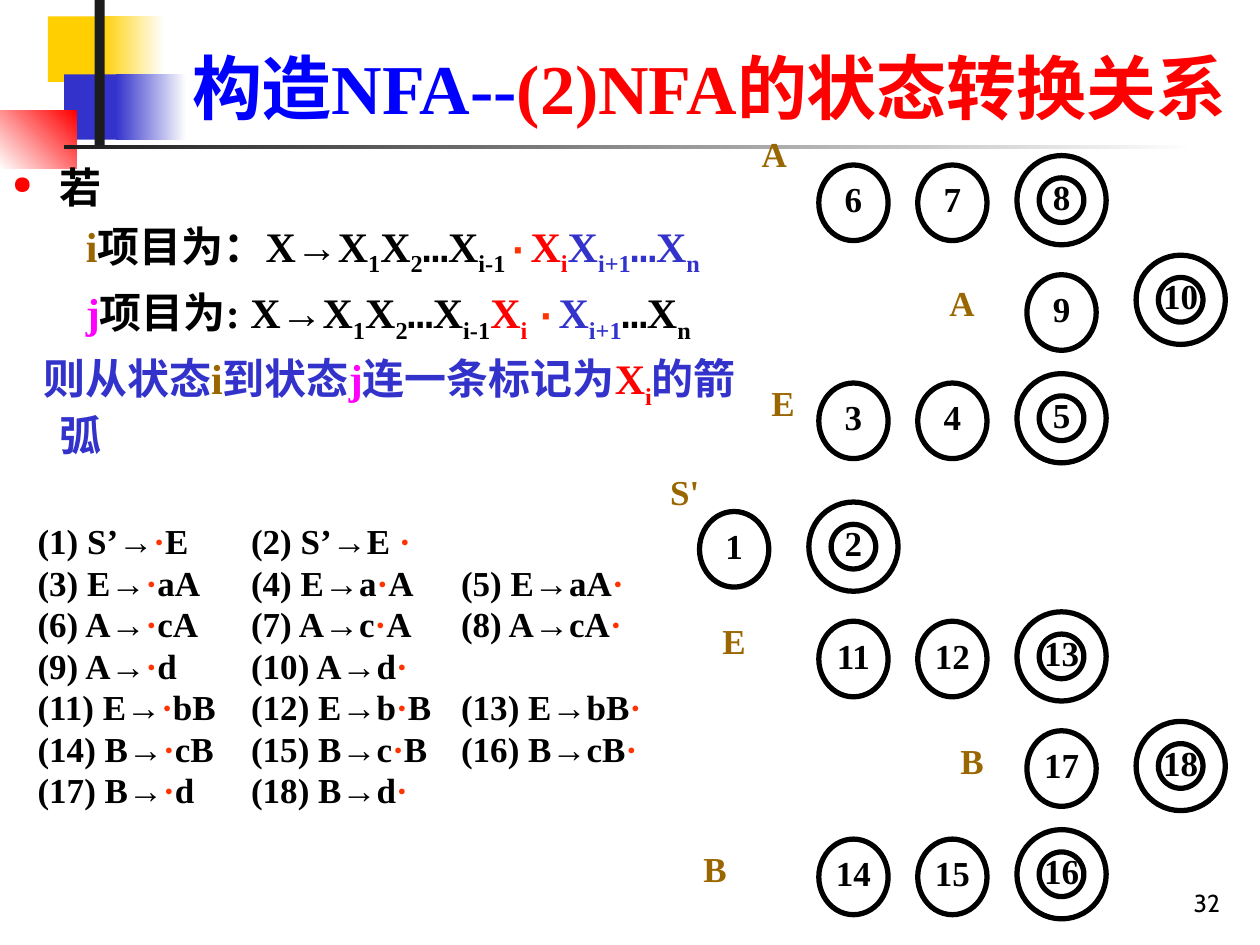
import pptx
import pptx.util
import pptx.dml.color
import pptx.enum.shapes
import pptx.enum.text
import lxml.etree

Pt = pptx.util.Pt
Shape = pptx.enum.shapes.MSO_SHAPE
Align = pptx.enum.text.PP_ALIGN
Anchor = pptx.enum.text.MSO_ANCHOR
SERIF = "Times New Roman"
MONO = "Courier New"
BLACK, RED, BLUE = "000000", "FF0000", "3333CC"
GOLD, PINK, DOT = "996600", "FF00FF", "FF3300"

BLOCKS = [
    (27.4, 9.4, 48.2, 37.4, ["FFCF01"], 0),
    (57.6, 9.4, 36, 37.4, ["FFCF01", "FFFFFF"], 0),
    (36.7, 42.5, 46.1, 37.4, [BLUE], 0),
    (66.2, 42.5, 40.3, 37.4, [BLUE, "FFFFFF"], 0),
    (0, 63.4, 43.9, 33.1, ["FFFFFF", RED], 45),
    (54, 0, 5.8, 82.8, ["1C1C1C"], 0),
    (36.7, 82.8, 648, 2.2, ["1C1C1C", "FFFFFF"], 0),
]
COLS = [419.5, 487.7, 544.2, 606.6, 674.7]
ROWS = [
    (115.9, 1, [6, 7, 8]),
    (178.6, 3, [9]),
    (172.8, 4, [10]),
    (240.5, 1, [3, 4, 5]),
    (313.9, 0, [1, 2]),
    (376.6, 1, [11, 12, 13]),
    (439.2, 3, [17, 18]),
    (501.1, 1, [14, 15, 16]),
]
FINAL = {2, 5, 8, 10, 13, 16, 18}
LABELS = [
    ("S'", 371.5, 270), ("E", 427.7, 218.9), ("A", 422.6, 77),
    ("A", 529.9, 162), ("E", 399.6, 355), ("B", 388.8, 485.3),
    ("B", 535.7, 423.4),
]
RULES = [
    "(1) S’→·E\t(2) S’→E ·",
    "(3) E→·aA\t(4) E→a·A\t(5) E→aA·",
    "(6) A→·cA\t(7) A→c·A\t(8) A→cA·",
    "(9) A→·d\t(10) A→d·",
    "(11) E→·bB\t(12) E→b·B\t(13) E→bB·",
    "(14) B→·cB\t(15) B→c·B\t(16) B→cB·",
    "(17) B→·d\t(18) B→d·",
]
HEAD = [("X→X", BLACK), ("1", BLACK, -25), ("X", BLACK), ("2", BLACK, -25),
        ("…", BLACK, 0, MONO), ("X", BLACK), ("i-1", BLACK, -25)]
POINT = ("·", DOT, 0, MONO)
STEP = [("X", RED), ("i", RED, -25)]
NEXT = [("X", BLUE), ("i+1", BLUE, -25)]


def tail(hue):
    return [("…", hue, 0, MONO), ("X", hue), ("n", hue, -25)]


BODY = [
    (27, -27, [("若", BLACK)]),
    (58, -16, [("i", GOLD), ("项目为：", BLACK)] + HEAD + [POINT] + STEP + NEXT + tail(BLUE)),
    (58, -16, [("j", PINK), ("项目为: ", BLACK)] + HEAD + STEP
     + [(" ", RED, -25), POINT] + NEXT + tail(BLACK)),
    (27, -9.4, [("则从状态", BLUE), ("i", GOLD), ("到状态", BLUE), ("j", PINK),
                ("连一条标记为", BLUE)] + STEP + [("的箭弧", BLUE)]),
]


def color(code):
    return pptx.dml.color.RGBColor.from_string(code)


def node(owner, tag, **attrs):
    return lxml.etree.SubElement(owner, pptx.oxml.ns.qn("a:" + tag), attrs)


def style(run, size, hue, face=SERIF, bold=True, base=0):
    run.font.size = Pt(size)
    run.font.name = face
    run.font.bold = bold
    run.font.color.rgb = color(hue)
    if base:
        run.font._element.set("baseline", str(base * 1000))


def write(para, parts, size):
    for text, hue, *rest in parts:
        base, face = (rest + [0, SERIF][len(rest):])
        run = para.add_run()
        run.text = text
        style(run, size, hue, face, base=base)


def textbox(slide, left, top, width, height, anchor=Anchor.TOP):
    box = slide.shapes.add_textbox(Pt(left), Pt(top), Pt(width), Pt(height))
    frame = box.text_frame
    frame.word_wrap = True
    frame.vertical_anchor = anchor
    return frame


def lines(frame, count):
    return [frame.paragraphs[0]] + [frame.add_paragraph() for _ in range(count - 1)]


def block(slide, left, top, width, height, hues, angle):
    rect = slide.shapes.add_shape(Shape.RECTANGLE, Pt(left), Pt(top), Pt(width), Pt(height))
    rect.shadow.inherit = False
    rect.line.fill.background()
    if len(hues) == 1:
        rect.fill.solid()
        rect.fill.fore_color.rgb = color(hues[0])
        return
    rect.fill.gradient()
    rect.fill.gradient_angle = angle
    for stop, hue in zip(rect.fill.gradient_stops, hues):
        stop.color.rgb = color(hue)


def state(slide, num, x, y):
    final = num in FINAL
    kind, width, height = (Shape.DONUT, 51, 51) if final else (Shape.OVAL, 39.6, 43.2)
    mid = y - 1.5 if final else y
    ring = slide.shapes.add_shape(kind, Pt(x - width / 2), Pt(mid - height / 2),
                                  Pt(width), Pt(height))
    ring.shadow.inherit = False
    ring.fill.background()
    ring.line.color.rgb = color(BLACK)
    ring.line.width = Pt(3)
    frame = ring.text_frame
    frame.margin_left = frame.margin_right = frame.margin_top = frame.margin_bottom = 0
    frame.vertical_anchor = Anchor.MIDDLE
    frame.word_wrap = False
    frame.text = str(num)
    para = frame.paragraphs[0]
    para.alignment = Align.CENTER
    para.line_spacing = 0.8
    style(para.runs[0], 20, BLACK)


def label(slide, text, left, top):
    frame = textbox(slide, left, top, 39.6, 26.6)
    frame.text = text
    para = frame.paragraphs[0]
    para.alignment = Align.CENTER
    para.line_spacing = 0.8
    style(para.runs[0], 20, GOLD)


def title(slide):
    frame = textbox(slide, 90.7, 16.6, 629.3, 60.5, Anchor.BOTTOM)
    para = frame.paragraphs[0]
    para.alignment = Align.CENTER
    write(para, [("构造NFA--", "0000FF"), ("(2)NFA的状态转换关系", RED)], 40)


def body(slide):
    paras = lines(textbox(slide, 0, 88.6, 450.7, 430.6), len(BODY))
    for para, (left, first, parts) in zip(paras, BODY):
        para.space_before = Pt(5)
        props = para._p.get_or_add_pPr()
        props.set("marL", str(Pt(left)))
        props.set("indent", str(Pt(first)))
        write(para, parts, 24)
    props = paras[0]._p.get_or_add_pPr()
    node(node(props, "buClr"), "srgbClr", val=RED)
    node(props, "buSzPct", val="60000")
    node(props, "buChar", char="●")


def rules(slide):
    paras = lines(textbox(slide, 14.4, 298.1, 362.9, 170.6), len(RULES))
    for para, rule in zip(paras, RULES):
        para.line_spacing = 0.8
        para.space_before = Pt(4.5)
        tabs = node(para._p.get_or_add_pPr(), "tabLst")
        for stop in (122, 242):
            node(tabs, "tab", pos=str(Pt(stop)), algn="l")
        first, *others = rule.split("·")
        parts = [(first, BLACK)]
        for text in others:
            parts += [("·", DOT)] + ([(text, BLACK)] if text else [])
        write(para, parts, 20)


def page(slide):
    frame = textbox(slide, 554.4, 491.8, 149.8, 36, Anchor.BOTTOM)
    frame.text = "32"
    frame.paragraphs[0].alignment = Align.RIGHT
    style(frame.paragraphs[0].runs[0], 14, BLACK, "Cabin", False)


def main():
    deck = pptx.Presentation()
    deck.slide_width, deck.slide_height = Pt(720), Pt(540)
    slide = deck.slides.add_slide(deck.slide_layouts[6])
    for item in BLOCKS:
        block(slide, *item)
    page(slide)
    title(slide)
    body(slide)
    for y, start, nums in ROWS:
        for x, num in zip(COLS[start:], nums):
            state(slide, num, x, y)
    for item in LABELS:
        label(slide, *item)
    rules(slide)
    deck.save("out.pptx")


if __name__ == "__main__":
    main()
